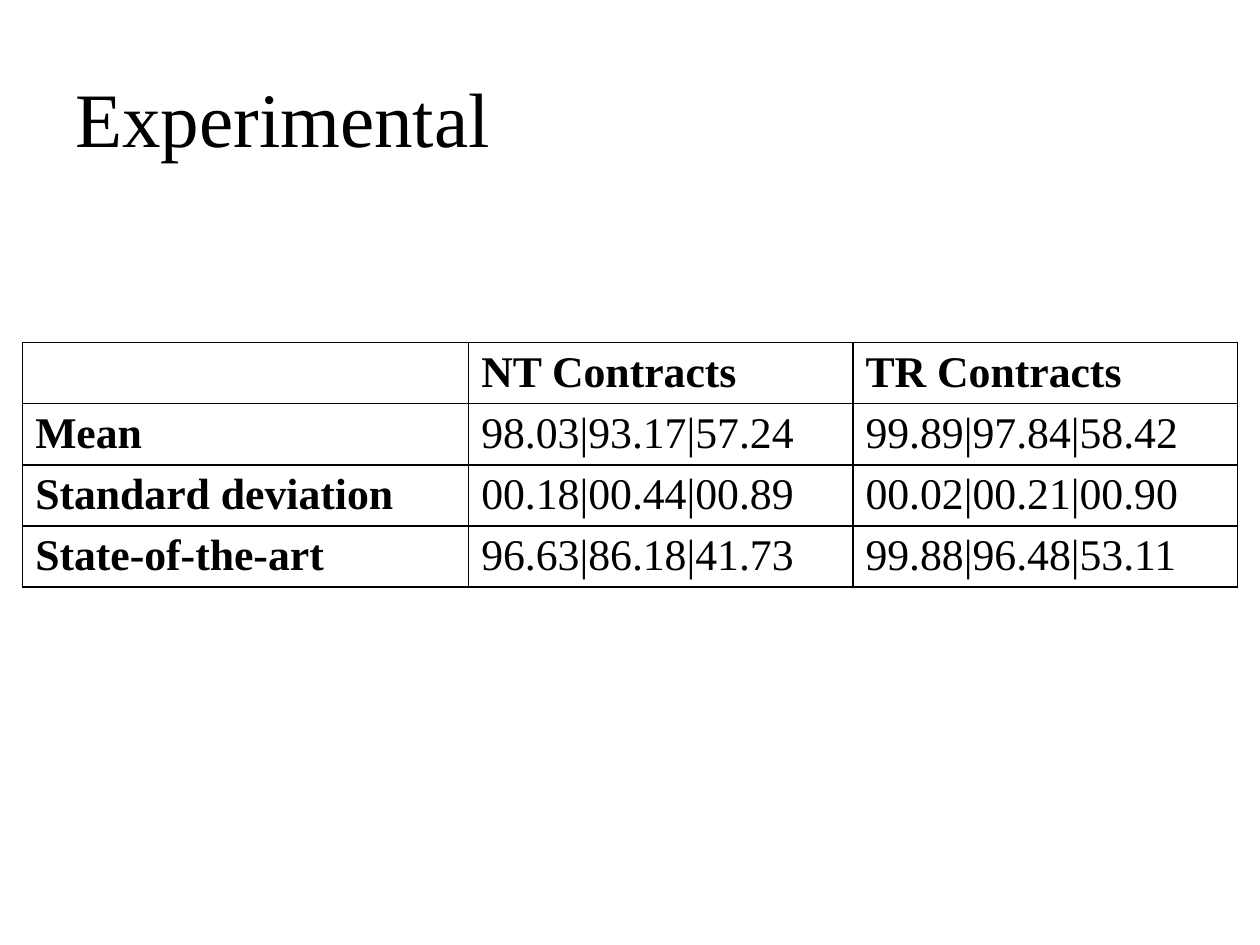
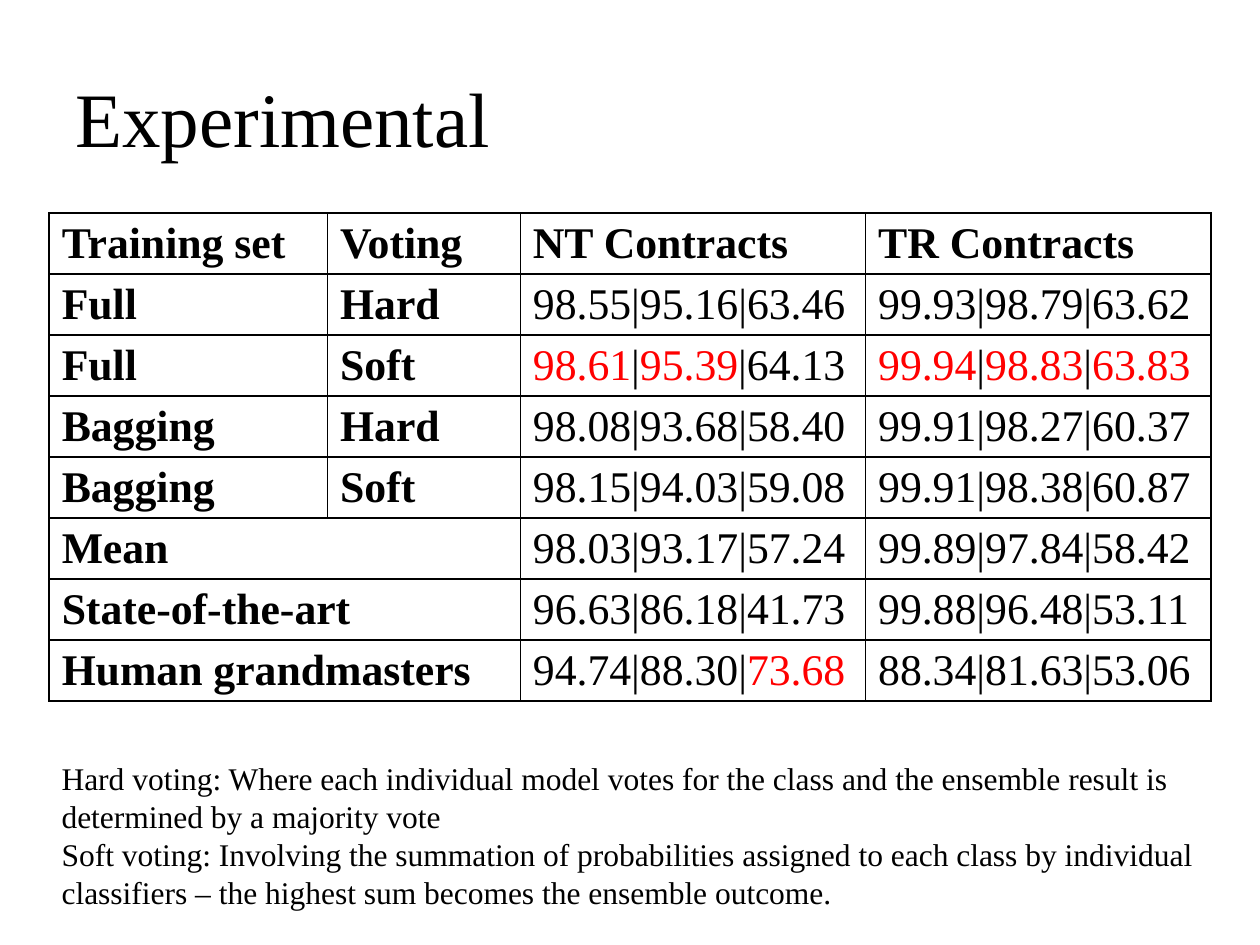
from dataclasses import dataclass

from lxml.etree import SubElement
from pptx import Presentation
from pptx.dml.color import RGBColor
from pptx.enum.text import MSO_ANCHOR
from pptx.oxml.ns import qn
from pptx.util import Inches, Pt


@dataclass(frozen=True)
class Theme:
    font: str = "Times New Roman"
    ink: str = "000000"
    best: str = "FF0000"
    paper: str = "FFFFFF"
    title_size: float = 44
    table_size: float = 25
    note_size: float = 18
    note_leading: float = 21.7
    border_width: float = 1
    cell_bottom_margin: float = 1.25


THEME = Theme()
BEST_MARK = "*"
ROW_HEIGHT = 0.41

SUMMARY_ROWS = [
    ["", "NT Contracts", "TR Contracts"],
    ["Mean", "98.03|93.17|57.24", "99.89|97.84|58.42"],
    ["Standard deviation", "00.18|00.44|00.89", "00.02|00.21|00.90"],
    ["State-of-the-art", "96.63|86.18|41.73", "99.88|96.48|53.11"],
]

VOTING_ROWS = [
    ["Training set", "Voting", "NT Contracts", "TR Contracts"],
    ["Full", "Hard", "98.55|95.16|63.46", "99.93|98.79|63.62"],
    ["Full", "Soft", "*98.61*|*95.39*|64.13", "*99.94*|*98.83*|*63.83*"],
    ["Bagging", "Hard", "98.08|93.68|58.40", "99.91|98.27|60.37"],
    ["Bagging", "Soft", "98.15|94.03|59.08", "99.91|98.38|60.87"],
    ["Mean", None, "98.03|93.17|57.24", "99.89|97.84|58.42"],
    ["State-of-the-art", None, "96.63|86.18|41.73", "99.88|96.48|53.11"],
    ["Human grandmasters", None, "94.74|88.30|*73.68*", "88.34|81.63|53.06"],
]

VOTING_NOTES = [
    "Hard voting: Where each individual model votes for the class and the "
    "ensemble result is determined by a majority vote",
    "Soft voting: Involving the summation of probabilities assigned to each "
    "class by individual classifiers – the highest sum becomes the ensemble outcome.",
]


def style_font(paragraph, size, bold=False):
    font = paragraph.font
    font.name = THEME.font
    font.size = Pt(size)
    font.bold = bold
    font.color.rgb = RGBColor.from_string(THEME.ink)


def add_text(slide, left, top, width, height, lines, size, anchor=MSO_ANCHOR.TOP, leading=None):
    box = slide.shapes.add_textbox(Inches(left), Inches(top), Inches(width), Inches(height))
    frame = box.text_frame
    frame.word_wrap = True
    frame.vertical_anchor = anchor
    frame.text = "\n".join(lines)
    for paragraph in frame.paragraphs:
        style_font(paragraph, size)
        if leading:
            paragraph.line_spacing = Pt(leading)


def add_titled_slide(presentation, title):
    slide = presentation.slides.add_slide(presentation.slide_layouts[6])
    slide.background.fill.solid()
    slide.background.fill.fore_color.rgb = RGBColor.from_string(THEME.paper)
    add_text(slide, 0.5, 0.3, 9, 1.25, [title], THEME.title_size, MSO_ANCHOR.MIDDLE)
    return slide


def add_borders(cell):
    properties = cell._tc.get_or_add_tcPr()
    for side in ("a:lnL", "a:lnR", "a:lnT", "a:lnB"):
        line = SubElement(properties, qn(side), w=str(Pt(THEME.border_width)))
        fill = SubElement(line, qn("a:solidFill"))
        SubElement(fill, qn("a:srgbClr"), val=THEME.ink)


def fill_cell(cell, text, bold):
    add_borders(cell)
    cell.fill.solid()
    cell.fill.fore_color.rgb = RGBColor.from_string(THEME.paper)
    cell.margin_bottom = Pt(THEME.cell_bottom_margin)
    paragraph = cell.text_frame.paragraphs[0]
    style_font(paragraph, THEME.table_size, bold)
    for position, part in enumerate((text or "").split(BEST_MARK)):
        if part:
            run = paragraph.add_run()
            run.text = part
            if position % 2:
                run.font.color.rgb = RGBColor.from_string(THEME.best)


def add_results_table(slide, left, top, column_widths, rows, label_columns):
    shape = slide.shapes.add_table(
        len(rows), len(column_widths), Inches(left), Inches(top),
        Inches(sum(column_widths)), Inches(ROW_HEIGHT * len(rows)))
    table = shape.table
    table.first_row = False
    table.horz_banding = False
    for column, width in zip(table.columns, column_widths):
        column.width = Inches(width)
    for row_index, values in enumerate(rows):
        table.rows[row_index].height = Inches(ROW_HEIGHT)
        for column_index, text in enumerate(values):
            cell = table.cell(row_index, column_index)
            fill_cell(cell, text, row_index == 0 or column_index < label_columns)
            if text is None:
                table.cell(row_index, column_index - 1).merge(cell)


def main():
    presentation = Presentation()
    presentation.slide_width = Inches(10)
    presentation.slide_height = Inches(7.5)

    summary = add_titled_slide(presentation, "Experimental")
    add_results_table(summary, 0.18, 2.72, [3.54, 3.05, 3.05], SUMMARY_ROWS, 1)

    voting = add_titled_slide(presentation, "Experimental")
    add_results_table(voting, 0.39, 1.69, [2.21, 1.53, 2.74, 2.74], VOTING_ROWS, 2)
    add_text(voting, 0.39, 5.97, 9.22, 1.31, VOTING_NOTES, THEME.note_size,
             leading=THEME.note_leading)

    presentation.save("out.pptx")


if __name__ == "__main__":
    main()
